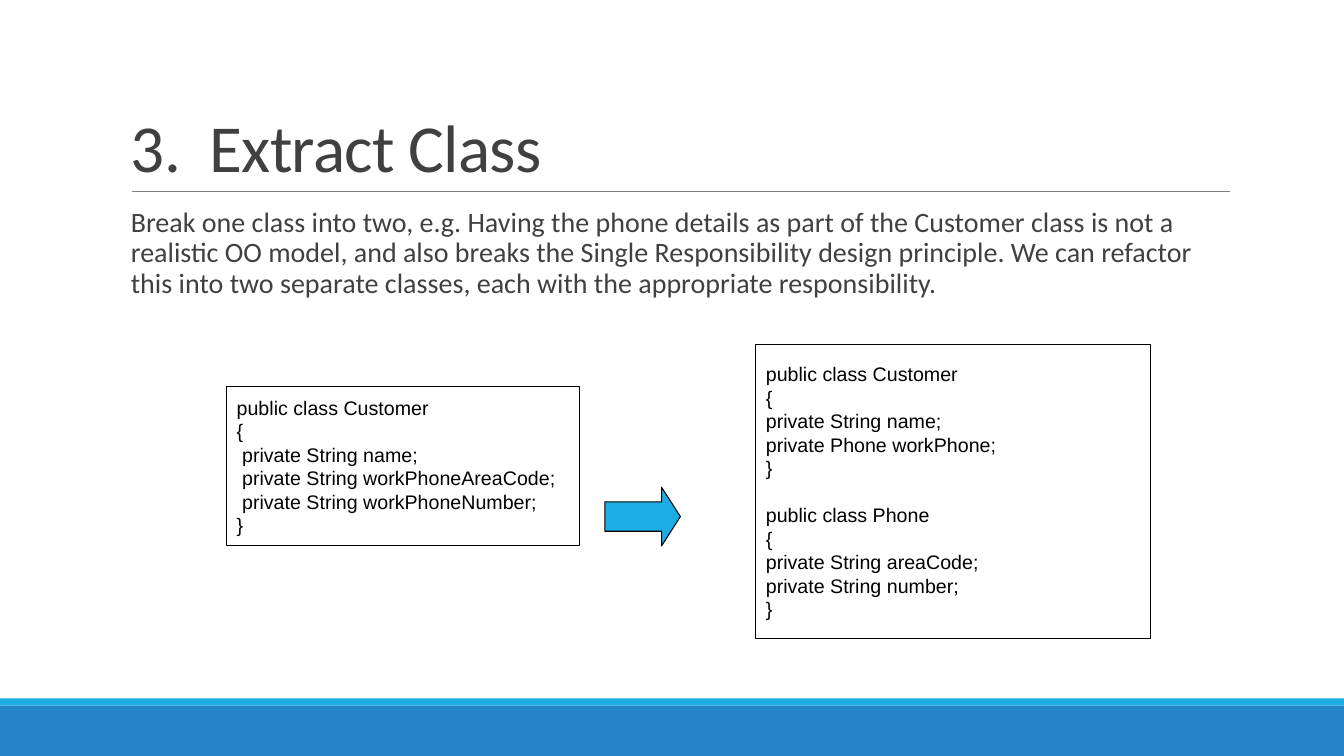
from lxml import etree
from pptx import Presentation
from pptx.dml.color import RGBColor
from pptx.enum.shapes import MSO_CONNECTOR, MSO_SHAPE
from pptx.enum.text import MSO_ANCHOR, PP_ALIGN
from pptx.oxml.ns import qn
from pptx.util import Pt

RECTANGLE = MSO_SHAPE.RECTANGLE
RIGHT_ARROW = MSO_SHAPE.RIGHT_ARROW
STRAIGHT = MSO_CONNECTOR.STRAIGHT
TOP, MIDDLE, BOTTOM = MSO_ANCHOR.TOP, MSO_ANCHOR.MIDDLE, MSO_ANCHOR.BOTTOM
LEFT = PP_ALIGN.LEFT

COLORS = {
    "band": "2683C6",
    "accent": "1CADE4",
    "rule": "808080",
    "prose": "404040",
    "code": "000000",
}
PROSE = {"name": "Calibri"}
CODE = {"name": "Arial", "size": Pt(14)}
BLANK_LINE = 16.8

TITLE = "3.  Extract Class"
EXPLANATION = (
    "Break one class into two, e.g. Having the phone details as part of the "
    "Customer class is not a realistic OO model, and also breaks the Single "
    "Responsibility design principle. We can refactor this into two separate "
    "classes, each with the appropriate responsibility."
)
BEFORE = [[
    "public class Customer",
    "{",
    " private String name;",
    " private String workPhoneAreaCode;",
    " private String workPhoneNumber;",
    "}",
]]
AFTER = [
    [
        "public class Customer",
        "{",
        "private String name;",
        "private Phone workPhone;",
        "}",
    ],
    [
        "public class Phone",
        "{",
        "private String areaCode;",
        "private String number;",
        "}",
    ],
]


def rgb(color):
    """Return the colour stored under a name."""
    return RGBColor.from_string(COLORS[color])


def apply_format(target, values):
    """Set each attribute of a dict on the target."""
    for attribute, value in values.items():
        setattr(target, attribute, value)


def add_block(slide, kind, box, fill=None, outline=None):
    """Add a preset shape with an optional fill and outline."""
    block = slide.shapes.add_shape(kind, *map(Pt, box))
    block.shadow.inherit = False
    if fill:
        block.fill.solid()
        block.fill.fore_color.rgb = rgb(fill)
    else:
        block.fill.background()
    if outline:
        block.line.color.rgb = rgb(outline)
        block.line.width = Pt(0.75)
    else:
        block.line.fill.background()
    return block


def add_rule(slide, left, right, y):
    """Add the thin line under the title."""
    rule = slide.shapes.add_connector(STRAIGHT, Pt(left), Pt(y), Pt(right), Pt(y))
    rule.line.color.rgb = rgb("rule")
    rule.line.width = Pt(0.5)
    etree.SubElement(rule._element.spPr, qn("a:effectLst"))


def add_prose(slide, box, wording, size, anchor, line_spacing, tracking=0):
    """Add a wrapped text box with one paragraph."""
    frame = slide.shapes.add_textbox(*map(Pt, box)).text_frame
    apply_format(frame, {"word_wrap": True, "vertical_anchor": anchor})
    paragraph = frame.paragraphs[0]
    paragraph.line_spacing = line_spacing
    run = paragraph.add_run()
    run.text = wording
    apply_format(run.font, PROSE | {"size": Pt(size)})
    run.font.color.rgb = rgb("prose")
    if tracking:
        run._r.get_or_add_rPr().set("spc", str(tracking))


def add_code(slide, box, classes):
    """Add an outlined listing with a gap between classes."""
    frame = add_block(slide, RECTANGLE, box, outline="code").text_frame
    apply_format(frame, {"word_wrap": False, "vertical_anchor": MIDDLE})
    paragraph = frame.paragraphs[0]
    for class_index, lines in enumerate(classes):
        for line_index, line in enumerate(lines):
            if class_index or line_index:
                paragraph = frame.add_paragraph()
            if class_index and not line_index:
                paragraph.space_before = Pt(BLANK_LINE)
            paragraph.alignment = LEFT
            run = paragraph.add_run()
            run.text = line
            apply_format(run.font, CODE)
            run.font.color.rgb = rgb("code")


def main():
    """Build the slide and save it."""
    deck = Presentation()
    apply_format(deck, {"slide_width": Pt(960), "slide_height": Pt(540)})
    slide = deck.slides.add_slide(deck.slide_layouts[6])

    add_block(slide, RECTANGLE, (0, 504, 960, 36), fill="band")
    add_block(slide, RECTANGLE, (0, 498.8, 960, 5.2), fill="accent")
    add_rule(slide, 94.3, 878.9, 136.8)

    add_prose(slide, (86.4, 22.5, 792, 114.2), TITLE, 48, BOTTOM, 0.85, -50)
    add_prose(slide, (86.4, 145.4, 799.2, 316.8), EXPLANATION, 20, TOP, 0.9)

    add_code(slide, (162, 276, 252, 114), BEFORE)
    arrow = add_block(slide, RIGHT_ARROW, (432, 348, 54, 42), "accent", "code")
    arrow.adjustments[1] = 0.32
    add_code(slide, (540, 246, 282, 210), AFTER)

    deck.save("out.pptx")


if __name__ == "__main__":
    main()
